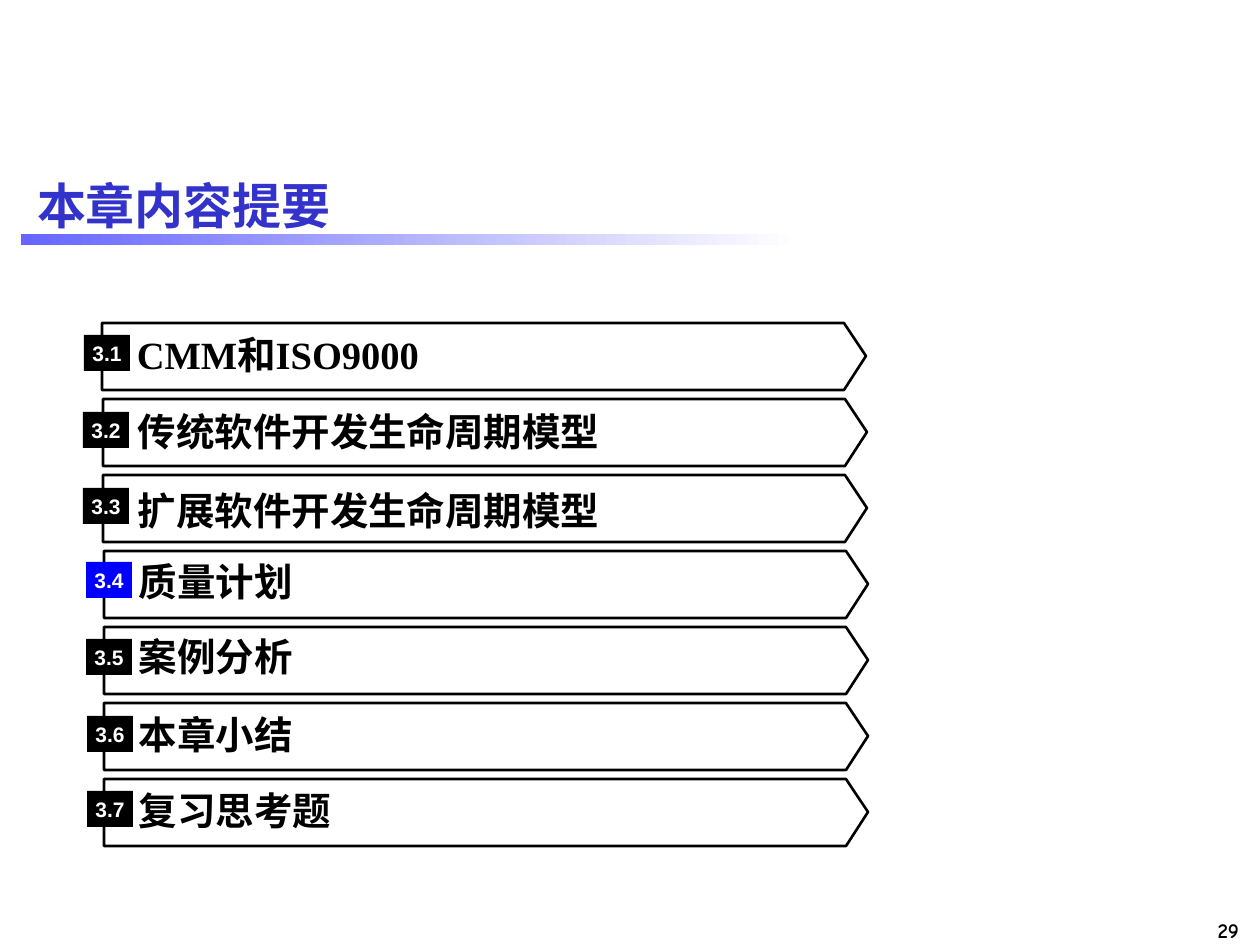
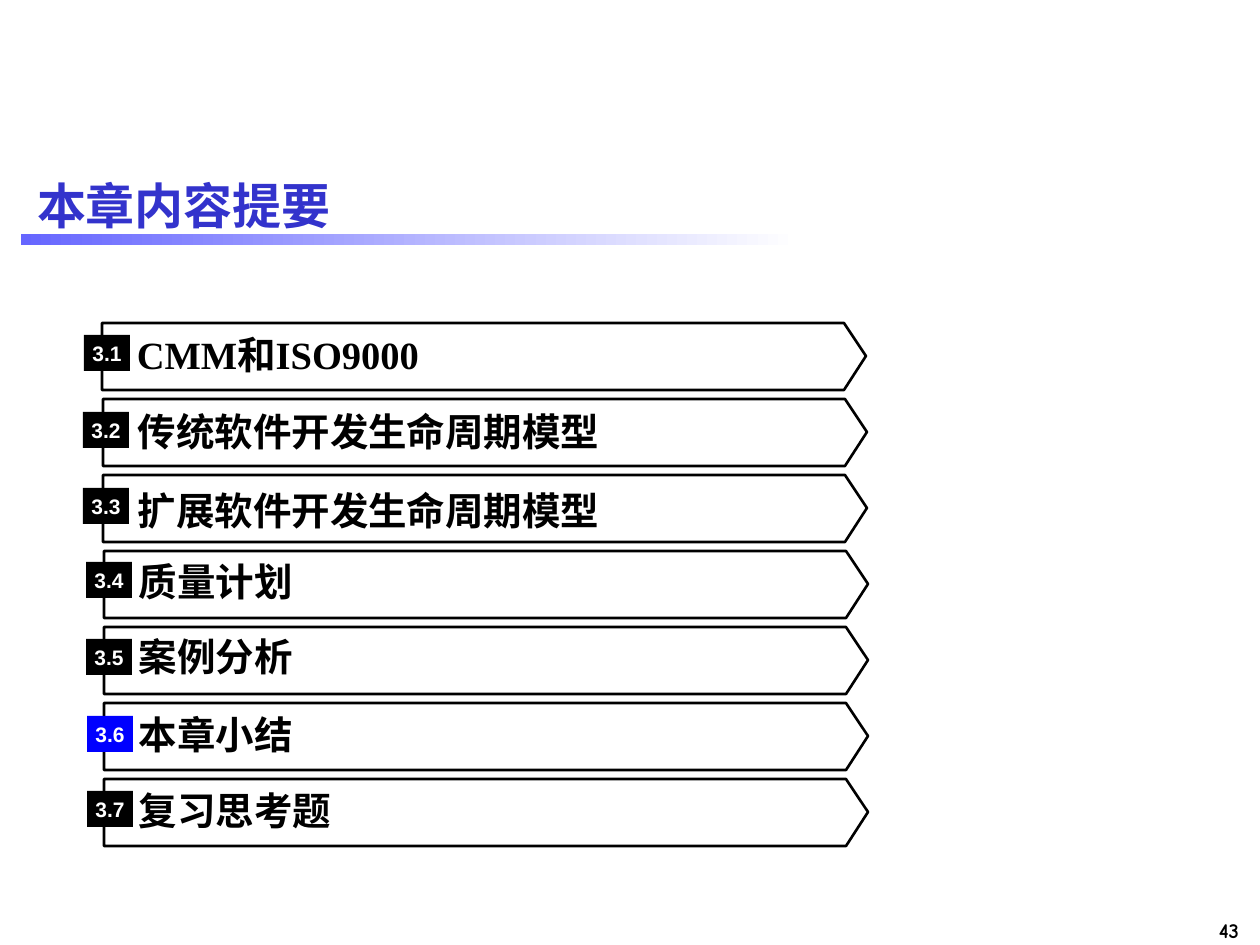
from pptx import Presentation
from pptx.dml.color import RGBColor
from pptx.enum.lang import MSO_LANGUAGE_ID
from pptx.enum.shapes import MSO_SHAPE
from pptx.enum.text import MSO_ANCHOR, PP_ALIGN
from pptx.util import Pt

PX = 914400 / 126
BLACK, WHITE, BLUE = "000000", "FFFFFF", "0000FF"
INK, BAND = "3333CC", "6666FF"

# Label, then its left edge, badge left, badge top and text middle,
# measured from the corner of the row
ROWS = [
    ("CMM和ISO9000", 0, -18, 12, 31),
    ("传统软件开发生命周期模型", 1, -19, 13, 32),
    ("扩展软件开发生命周期模型", 1, -19, 13, 35),
    ("质量计划", 2, -16, 11, 30),
    ("案例分析", 2, -16, 12, 29),
    ("本章小结", 2, -15, 13, 31),
    ("复习思考题", 2, -15, 12, 31),
]
PITCH = 76


def px(*sizes):
    return [round(size * PX) for size in sizes]


def color(code):
    return RGBColor.from_string(code)


def write(shape, text, size, font="Arial", ink=BLACK, align=PP_ALIGN.LEFT,
          anchor=MSO_ANCHOR.MIDDLE, inset=0):
    frame = shape.text_frame
    frame.text = text
    frame.word_wrap = True
    frame.vertical_anchor = anchor
    frame.margin_left, frame.margin_right = px(inset, inset)
    frame.margin_top, frame.margin_bottom = px(inset / 2, inset / 2)
    para = frame.paragraphs[0]
    para.alignment = align
    face = para.runs[0].font
    face.name, face.size, face.bold = font, Pt(size), True
    face.color.rgb = color(ink)
    face.language_id = MSO_LANGUAGE_ID.SIMPLIFIED_CHINESE


def add_rect(slide, *box):
    rect = slide.shapes.add_shape(MSO_SHAPE.RECTANGLE, *px(*box))
    rect.shadow.inherit = False
    rect.line.fill.background()
    return rect


def add_head(slide, text, left, top, wide, high):
    # Fading band under the title
    band = add_rect(slide, left - 4, top + 79, 777, 11)
    band.fill.gradient()
    band.fill.gradient_angle = 0
    for stop, code, place in zip(band.fill.gradient_stops, (BAND, WHITE), (0, 1)):
        stop.color.rgb = color(code)
        stop.position = place
    # Title
    title = slide.shapes.title
    title.left, title.top, title.width, title.height = px(left, top, wide, high)
    write(title, text, 28, ink=INK, inset=12)


def add_row(slide, row, mark, fill, left, top, wide, high):
    text, shift, side, drop, mid = row
    left += shift
    # Arrow outline
    right, tip = left + wide, 22
    path = slide.shapes.build_freeform(left, top, scale=PX)
    path.add_line_segments([
        (right - tip, top), (right, top + high / 2),
        (right - tip, top + high), (left, top + high)], close=True)
    arrow = path.convert_to_shape()
    arrow.shadow.inherit = False
    arrow.fill.background()
    arrow.line.color.rgb = color(BLACK)
    arrow.line.width = Pt(1.5)
    # Section name
    label = slide.shapes.add_textbox(*px(left + 35, top + mid - 25, 678, 50))
    write(label, text, 22, font="Times New Roman")
    # Section number
    badge = add_rect(slide, left - shift + side, top + drop, 46, 36)
    badge.fill.solid()
    badge.fill.fore_color.rgb = color(fill)
    write(badge, mark, 12, ink=WHITE, align=PP_ALIGN.CENTER)


def add_list(slide, active, left, top, wide, high):
    for i, row in enumerate(ROWS):
        fill = BLUE if i + 1 == active else BLACK
        add_row(slide, row, f"3.{i + 1}", fill, left, top + i * PITCH, wide, high)


def add_page(slide, number, *box):
    page = slide.shapes.add_textbox(*px(*box))
    write(page, str(number), 12, font="Comic Neue", align=PP_ALIGN.RIGHT,
          anchor=MSO_ANCHOR.TOP, inset=12)


def add_slide(deck, number, active):
    slide = deck.slides.add_slide(deck.slide_layouts[5])
    add_head(slide, "本章内容提要", 25, 155, 1211, 100)
    add_list(slide, active, 102, 323, 764, 67)
    add_page(slide, number, 1135, 912, 116, 38)


def main():
    deck = Presentation()
    deck.slide_width, deck.slide_height = px(1260, 945)
    for number, active in ((29, 4), (43, 6)):
        add_slide(deck, number, active)
    deck.save("out.pptx")


if __name__ == "__main__":
    main()
